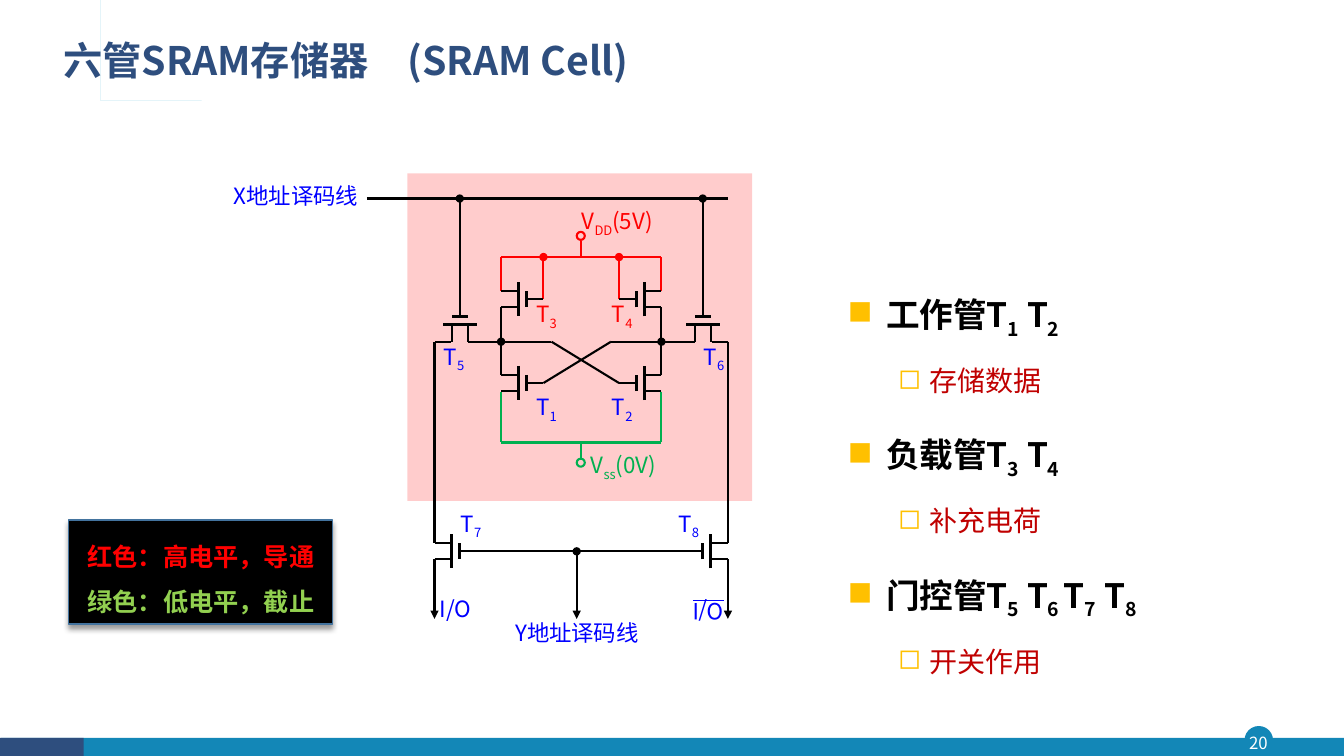
import pptx
import pptx.dml.color
import pptx.enum.shapes
import pptx.enum.text
import pptx.oxml
import pptx.oxml.ns
import pptx.util
from lxml import etree

Inches = pptx.util.Inches
Pt = pptx.util.Pt
qn = pptx.oxml.ns.qn
SHAPE = pptx.enum.shapes.MSO_SHAPE
ALIGN = pptx.enum.text.PP_ALIGN
ANCHOR = pptx.enum.text.MSO_ANCHOR

BLACK, RED, GREEN, BLUE = "000000", "FF0000", "00B050", "0000FF"
TEAL, NAVY, AMBER, WHITE = "1387B7", "2E4E7E", "FFC000", "FFFFFF"
CRIMSON, LIME = "C00000", "92D050"
MIRROR = 11.53


def rgb(color):
    return pptx.dml.color.RGBColor.from_string(color)


def sub(parent, tag, **attrs):
    return etree.SubElement(parent, qn(tag), attrs)


class Slide:
    font = "Noto Sans CJK SC"

    def __init__(self, prs):
        self.s = prs.slides.add_slide(prs.slide_layouts[6])

    def paint(self, sp, fill=None, line=None, width=1):
        sp.shadow.inherit = False
        if fill:
            sp.fill.solid()
            sp.fill.fore_color.rgb = rgb(fill)
        else:
            sp.fill.background()
        if line:
            sp.line.color.rgb = rgb(line)
            sp.line.width = Pt(width)
        else:
            sp.line.fill.background()
        return sp

    def shape(self, kind, x, y, w, h, **look):
        sp = self.s.shapes.add_shape(kind, Inches(x), Inches(y), Inches(w), Inches(h))
        return self.paint(sp, **look)

    def outline(self, points, **look):
        builder = self.s.shapes.build_freeform(*points[0], scale=Inches(1))
        builder.add_line_segments(points[1:], close=True)
        return self.paint(builder.convert_to_shape(), **look)

    def line(self, x1, y1, x2, y2, color=BLACK, width=1.5, head=None, tail=None):
        c = self.s.shapes.add_connector(
            pptx.enum.shapes.MSO_CONNECTOR.STRAIGHT,
            Inches(x1), Inches(y1), Inches(x2), Inches(y2))
        c.line.color.rgb = rgb(color)
        c.line.width = Pt(width)
        ln = c.line._get_or_add_ln()
        if head:
            sub(ln, "a:headEnd", type=head)
        if tail:
            sub(ln, "a:tailEnd", type=tail)
        sub(c._element.spPr, "a:effectLst")

    def mirrored(self, x1, y1, x2, y2, **look):
        self.line(x1, y1, x2, y2, **look)
        self.line(MIRROR - x1, y1, MIRROR - x2, y2, **look)

    def transistor(self, x, y, dx, dy):
        def part(a1, b1, a2, b2, width=1.5):
            self.line(x + a1 * dx + b1 * dy, y + a1 * dy + b1 * dx,
                      x + a2 * dx + b2 * dy, y + a2 * dy + b2 * dx, width=width)

        part(0.17, -0.17, 0.17, 0.17, 2.25)
        part(0.25, -0.08, 0.25, 0.08, 2.25)
        part(0, -0.08, 0.17, -0.08)
        part(0, 0.08, 0.17, 0.08)
        part(0.25, 0, 0.42, 0)

    def box(self, x, y, w, h, inset=None, anchor=ANCHOR.TOP, wrap=True):
        sp = self.s.shapes.add_textbox(Inches(x), Inches(y), Inches(w), Inches(h))
        tf = sp.text_frame
        tf.word_wrap = wrap
        tf.vertical_anchor = anchor
        if inset is not None:
            tf.margin_left = tf.margin_right = Inches(inset)
            tf.margin_top = tf.margin_bottom = Inches(inset)
        return sp

    def text(self, sp, text, size=16, color=BLACK, bold=False, underline=False,
             align=ALIGN.LEFT, spacing=None, before=0, level=0, bullet=None,
             margin=0, hang=0):
        tf = sp.text_frame
        p = tf.paragraphs[0]
        if p.runs:
            p = tf.add_paragraph()
            p.space_before = Pt(before)
        p.level = level
        p.alignment = align
        if spacing:
            p.line_spacing = spacing
        if bullet:
            pPr = p._p.get_or_add_pPr()
            pPr.set("marL", str(Inches(margin)))
            pPr.set("indent", str(-Inches(hang)))
            sub(sub(pPr, "a:buClr"), "a:srgbClr", val=AMBER)
            sub(pPr, "a:buChar", char=bullet)
        for i, piece in enumerate(text.split("|")):
            if not piece:
                continue
            r = p.add_run()
            r.text = piece
            r.font.size = Pt(size)
            r.font.bold = bold
            r.font.color.rgb = rgb(color)
            r.font.name = self.font
            rPr = r._r.get_or_add_rPr()
            sub(rPr, "a:ea", typeface=self.font)
            if underline:
                r.font.underline = True
            if i % 2:
                rPr.set("baseline", "-25000")

    def label(self, text, x, y, w=0.25, h=0.33, color=BLUE, **style):
        sp = self.box(x, y, w, h, inset=0.01)
        self.text(sp, text, color=color, align=ALIGN.JUSTIFY, **style)
        return sp


def draw_frame(s):
    s.shape(SHAPE.OVAL, 12.35, 7.21, 0.27, 0.27, fill=TEAL, line=TEAL)
    s.shape(SHAPE.RECTANGLE, 0.01, 7.32, 13.32, 0.19, fill=TEAL)
    s.shape(SHAPE.RECTANGLE, 0, 7.32, 0.83, 0.19, fill=NAVY)
    number = s.box(12.32, 7.21, 0.32, 0.31, inset=0, anchor=ANCHOR.MIDDLE)
    s.text(number, "20", size=12, color=WHITE, align=ALIGN.CENTER)
    s.outline([(0.54, 0.39), (0.54, 0.85), (1.87, 0.85), (1.87, 0.87), (0.52, 0.87),
               (0.52, 0.41), (0.47, 0.41), (0.47, 0.87), (0.36, 0.87), (0.36, 0.39),
               (0.39, 0.39), (0.39, 0.84), (0.44, 0.84), (0.44, 0.39)], fill="28A9D6")
    title = s.box(0.53, 0.28, 11.5, 0.68, anchor=ANCHOR.MIDDLE)
    s.text(title, "六管SRAM存储器　(SRAM Cell)", size=28, color=NAVY, bold=True, spacing=0.9)


def draw_roles(s):
    body = s.box(8.31, 2.64, 3.74, 3.21)
    for tubes, role in [("工作管T|1| T|2", "存储数据"),
                        ("负载管T|3| T|4", "补充电荷"),
                        ("门控管T|5| T|6 |T|7| T|8", "开关作用")]:
        s.text(body, tubes, size=24, bold=True, align=ALIGN.JUSTIFY, spacing=1.5,
               before=10, bullet="■", margin=0.38, hang=0.38)
        s.text(body, role, size=20, color=CRIMSON, align=ALIGN.JUSTIFY, spacing=1.5,
               before=5, level=1, bullet="◻", margin=0.81, hang=0.31)


def draw_circuit(s):
    cell = s.shape(SHAPE.RECTANGLE, 4.04, 1.72, 3.42, 3.25, fill=RED)
    sub(cell._element.spPr.find(qn("a:solidFill"))[0], "a:alpha", val="20000")

    s.line(3.64, 1.97, 7.22, 1.97)
    s.mirrored(4.56, 1.97, 4.56, 2.97, head="oval")

    s.line(4.97, 2.55, 6.56, 2.55, color=RED)
    s.mirrored(4.97, 2.55, 4.97, 2.89, color=RED)
    s.mirrored(5.39, 2.55, 5.39, 2.97, color=RED, head="oval")
    s.line(5.76, 2.55, 5.76, 2.39, color=RED)
    s.shape(SHAPE.OVAL, 5.72, 2.3, 0.08, 0.08, line=RED, width=1.5)

    s.line(4.97, 4.39, 6.56, 4.39, color=GREEN)
    s.mirrored(4.97, 3.89, 4.97, 4.39, color=GREEN)
    s.line(5.76, 4.39, 5.76, 4.55, color=GREEN)
    s.shape(SHAPE.OVAL, 5.72, 4.55, 0.08, 0.08, line=GREEN, width=1.5)

    s.mirrored(4.97, 3.05, 4.97, 3.72)
    s.mirrored(4.64, 3.39, 4.97, 3.39, tail="oval")
    s.mirrored(4.97, 3.39, 5.47, 3.39)
    s.mirrored(5.47, 3.39, 6.14, 3.8)

    s.mirrored(4.47, 3.39, 4.31, 3.39)
    s.mirrored(4.31, 3.39, 4.31, 5.39)
    s.mirrored(4.31, 5.55, 4.31, 6.14, tail="triangle")
    s.line(4.72, 5.47, 6.81, 5.47)
    s.line(5.72, 5.47, 5.72, 6.14, head="oval", tail="triangle")

    for x, y in [(4.97, 2.97), (4.97, 3.8), (4.31, 5.47)]:
        s.transistor(x, y, 1, 0)
        s.transistor(MIRROR - x, y, -1, 0)
    for x in (4.56, MIRROR - 4.56):
        s.transistor(x, 3.39, 0, -1)

    for n, x, y, color in [(1, 5.31, 3.89, BLUE), (2, 6.06, 3.89, BLUE),
                           (3, 5.31, 2.97, RED), (4, 6.06, 2.97, RED),
                           (5, 4.39, 3.39, BLUE), (6, 6.97, 3.39, BLUE),
                           (7, 4.56, 5.05, BLUE), (8, 6.72, 5.05, BLUE)]:
        s.label(f"T|{n}", x, y, color=color)
    s.label("V|DD|(5V)", 5.76, 2.05, 0.79, 0.5, color=RED)
    s.label("V|ss|(0V)", 5.85, 4.47, 0.79, 0.5, color=GREEN)
    s.label("I/O", 4.35, 5.89, 0.38, 0.25)
    s.label("O/I", 6.81, 5.97, 0.38, 0.25, underline=True).rotation = 180
    s.label("X地址译码线", 2.31, 1.8, 1.33, 0.25)
    s.label("Y地址译码线", 5.1, 6.13, 1.5, 0.25)


def draw_legend(s):
    panel = s.shape(SHAPE.RECTANGLE, 0.68, 5.16, 2.62, 1.03, fill=BLACK, line="43739E")
    effects = panel._element.spPr.find(qn("a:effectLst"))
    shadow = sub(effects, "a:outerShdw", blurRad=str(Pt(4)), dist=str(Pt(3)),
                 dir="5400000", algn="t", rotWithShape="0")
    sub(sub(shadow, "a:srgbClr", val=BLACK), "a:alpha", val="40000")
    legend = s.box(0.77, 5.17, 2.47, 0.96, wrap=False)
    for text, color in [("红色：高电平，导通", RED), ("绿色：低电平，截止", LIME)]:
        s.text(legend, text, size=18, color=color, bold=True, spacing=1.5)


def main():
    prs = pptx.Presentation()
    prs.slide_width = Inches(13.33)
    prs.slide_height = Inches(7.5)
    s = Slide(prs)
    draw_frame(s)
    draw_roles(s)
    draw_circuit(s)
    draw_legend(s)
    prs.save("out.pptx")


if __name__ == "__main__":
    main()
